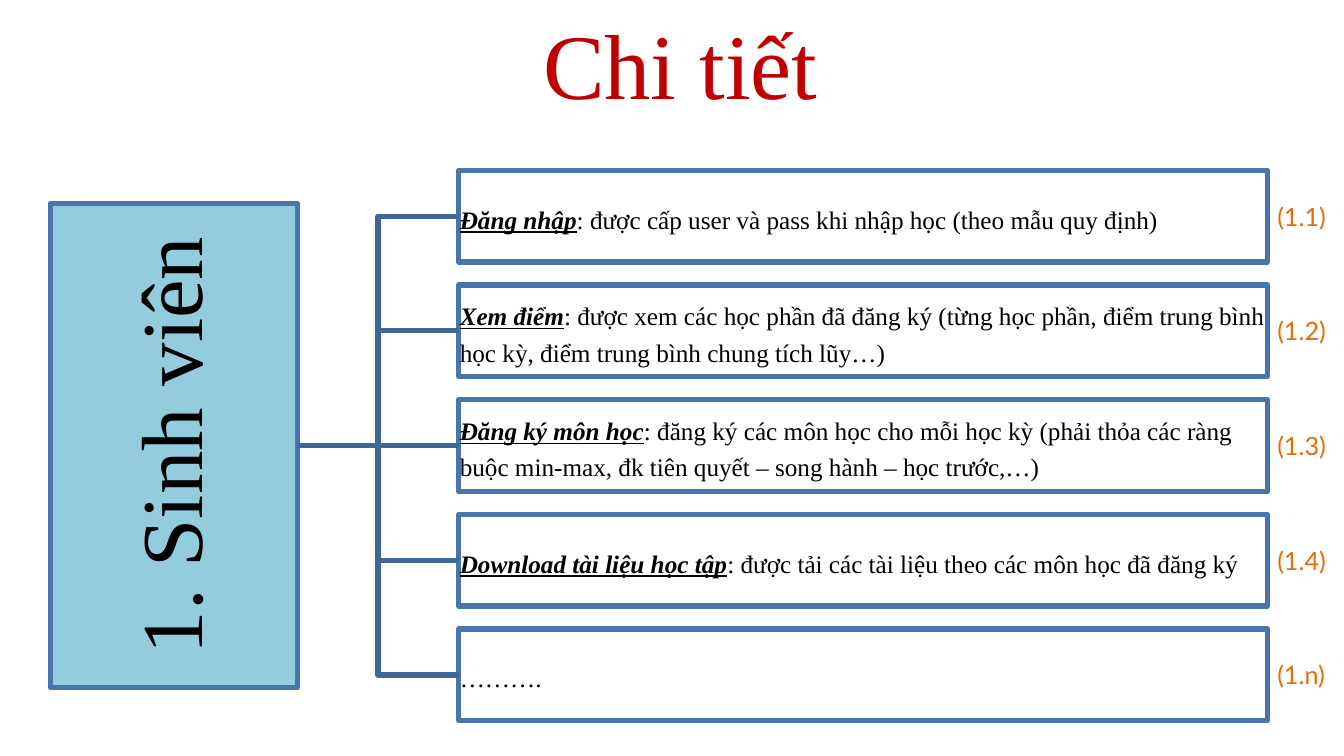
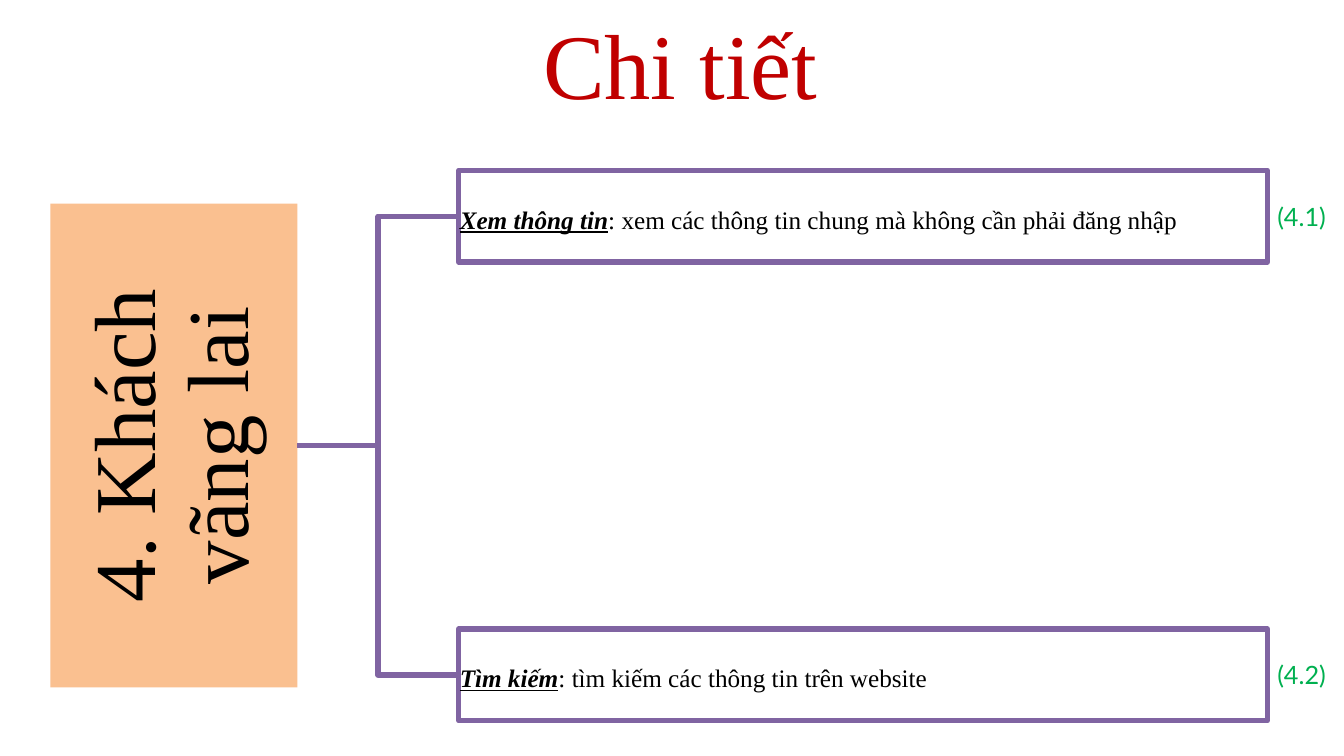
"""Build two detail slides, each a root box branching into numbered feature boxes."""
from lxml import etree
from pptx import Presentation
from pptx.dml.color import RGBColor
from pptx.enum.shapes import MSO_CONNECTOR, MSO_SHAPE
from pptx.enum.text import MSO_ANCHOR, MSO_AUTO_SIZE, PP_ALIGN
from pptx.oxml.ns import qn
from pptx.util import Inches, Pt

RECT = MSO_SHAPE.RECTANGLE
ELBOW, STRAIGHT = MSO_CONNECTOR.ELBOW, MSO_CONNECTOR.STRAIGHT
MIDDLE, CENTER, LEFT = MSO_ANCHOR.MIDDLE, PP_ALIGN.CENTER, PP_ALIGN.LEFT
NO_FIT, GROW = MSO_AUTO_SIZE.NONE, MSO_AUTO_SIZE.SHAPE_TO_FIT_TEXT

SERIF, SANS = "Times New Roman", "Lato"
BLACK, WHITE, RED = "000000", "FFFFFF", "C00000"
LINE_WIDTH = 3.78

SLIDES = [
    {
        "title": "Chi tiết",
        "root": "1. Sinh viên",
        "root_fill": "93CDDD", "root_line": "4875AC",
        "box_line": "4875AC", "branch": "3F6797", "tag": "E46C0A",
        "items": [
            ("(1.1)", "Đăng nhập",
             ": được cấp user và pass khi nhập học (theo mẫu quy định)"),
            ("(1.2)", "Xem điểm",
             ": được xem các học phần đã đăng ký (từng học phần, điểm trung bình "
             "học kỳ, điểm trung bình chung tích lũy…)"),
            ("(1.3)", "Đăng ký môn học",
             ": đăng ký các môn học cho mỗi học kỳ (phải thỏa các ràng buộc "
             "min-max, đk tiên quyết – song hành – học trước,…)"),
            ("(1.4)", "Download tài liệu học tập",
             ": được tải các tài liệu theo các môn học đã đăng ký"),
            ("(1.n)", "", "………."),
        ],
    },
    {
        "title": "Chi tiết",
        "root": "4. Khách vãng lai",
        "root_fill": "FAC090", "root_line": None,
        "box_line": "8064A2", "branch": "8064A2", "tag": "00B050",
        "items": [
            ("(4.1)", "Xem thông tin",
             ": xem các thông tin chung mà không cần phải đăng nhập"),
            ("(4.2)", "Tìm kiếm", ": tìm kiếm các thông tin trên website"),
        ],
    },
]

SLIDE_W, SLIDE_H = 13.33, 7.5
MID_Y, SPAN = 4.42, 4.55
ROOT_X, ROOT_W, ROOT_H = 0.5, 2.45, 4.8
BOX_X, BOX_W, BOX_H = 4.55, 8.02, 0.91
TAG_X, TAG_H = BOX_X + BOX_W, 0.4


def color(value):
    return RGBColor.from_string(value)


def style(font, name, size, rgb):
    font.name, font.size = name, Pt(size)
    font.color.rgb = color(rgb)


def add_title(s, text):
    sp = s.shapes.title
    sp.left, sp.top, sp.width, sp.height = map(Inches, (1.73, 0.01, 10.04, 1.23))
    tf = sp.text_frame
    tf.text = text
    tf.auto_size, tf.vertical_anchor = NO_FIT, MIDDLE
    p = tf.paragraphs[0]
    p.alignment = CENTER
    style(p.runs[0].font, SERIF, 66, RED)


def add_box(s, x, y, w, h, fill, line, inset, align, spacing):
    """Add a rectangle centred vertically on y, ready for text."""
    sp = s.shapes.add_shape(RECT, *map(Inches, (x, y - h / 2, w, h)))
    sp.shadow.inherit = False
    sp.fill.solid()
    sp.fill.fore_color.rgb = color(fill)
    if line:
        sp.line.color.rgb = color(line)
        sp.line.width = Pt(LINE_WIDTH)
    else:
        sp.line.fill.background()
    tf = sp.text_frame
    tf.word_wrap, tf.vertical_anchor = True, MIDDLE
    tf.margin_left = tf.margin_right = tf.margin_top = tf.margin_bottom = Inches(inset)
    p = tf.paragraphs[0]
    p.alignment, p.line_spacing = align, spacing
    return sp


def add_root(s, text, fill, line):
    sp = add_box(s, ROOT_X, MID_Y, ROOT_W, ROOT_H, fill, line, 0.04, CENTER, 0.9)
    sp.element.txBody.bodyPr.set("vert", "vert270")
    r = sp.text_frame.paragraphs[0].add_run()
    r.text = text
    style(r.font, SERIF, 62, BLACK)
    return sp


def add_feature(s, y, name, detail, line):
    sp = add_box(s, BOX_X, y, BOX_W, BOX_H, WHITE, line, 0.01, LEFT, 1.2)
    p = sp.text_frame.paragraphs[0]
    for text, strong in ((name, True), (detail, False)):
        if text:
            r = p.add_run()
            r.text = text
            style(r.font, SERIF, 18, BLACK)
            r.font.bold = r.font.italic = r.font.underline = strong
    return sp


def add_tag(s, y, text, rgb):
    sp = s.shapes.add_textbox(
        *map(Inches, (TAG_X, y - TAG_H / 2, SLIDE_W - TAG_X, TAG_H)))
    tf = sp.text_frame
    tf.text = text
    tf.word_wrap, tf.auto_size = True, GROW
    style(tf.paragraphs[0].runs[0].font, SANS, 18, rgb)


def add_branch(s, root, box, y, rgb):
    kind = STRAIGHT if abs(y - MID_Y) < 0.01 else ELBOW
    c = s.shapes.add_connector(
        kind, *map(Inches, (ROOT_X + ROOT_W, MID_Y, BOX_X, y)))
    c.begin_connect(root, 3)
    c.end_connect(box, 1)
    c.line.color.rgb = color(rgb)
    c.line.width = Pt(LINE_WIDTH)
    etree.SubElement(c.element.spPr, qn("a:effectLst"))


def build_slide(prs, data):
    s = prs.slides.add_slide(prs.slide_layouts[5])
    add_title(s, data["title"])
    root = add_root(s, data["root"], data["root_fill"], data["root_line"])
    items = data["items"]
    pitch = SPAN / (len(items) - 1)
    for i, (tag, name, detail) in enumerate(items):
        y = MID_Y - SPAN / 2 + i * pitch
        box = add_feature(s, y, name, detail, data["box_line"])
        add_branch(s, root, box, y, data["branch"])
        add_tag(s, y, tag, data["tag"])


def main():
    prs = Presentation()
    prs.slide_width, prs.slide_height = Inches(SLIDE_W), Inches(SLIDE_H)
    for data in SLIDES:
        build_slide(prs, data)
    prs.save("out.pptx")


if __name__ == "__main__":
    main()
